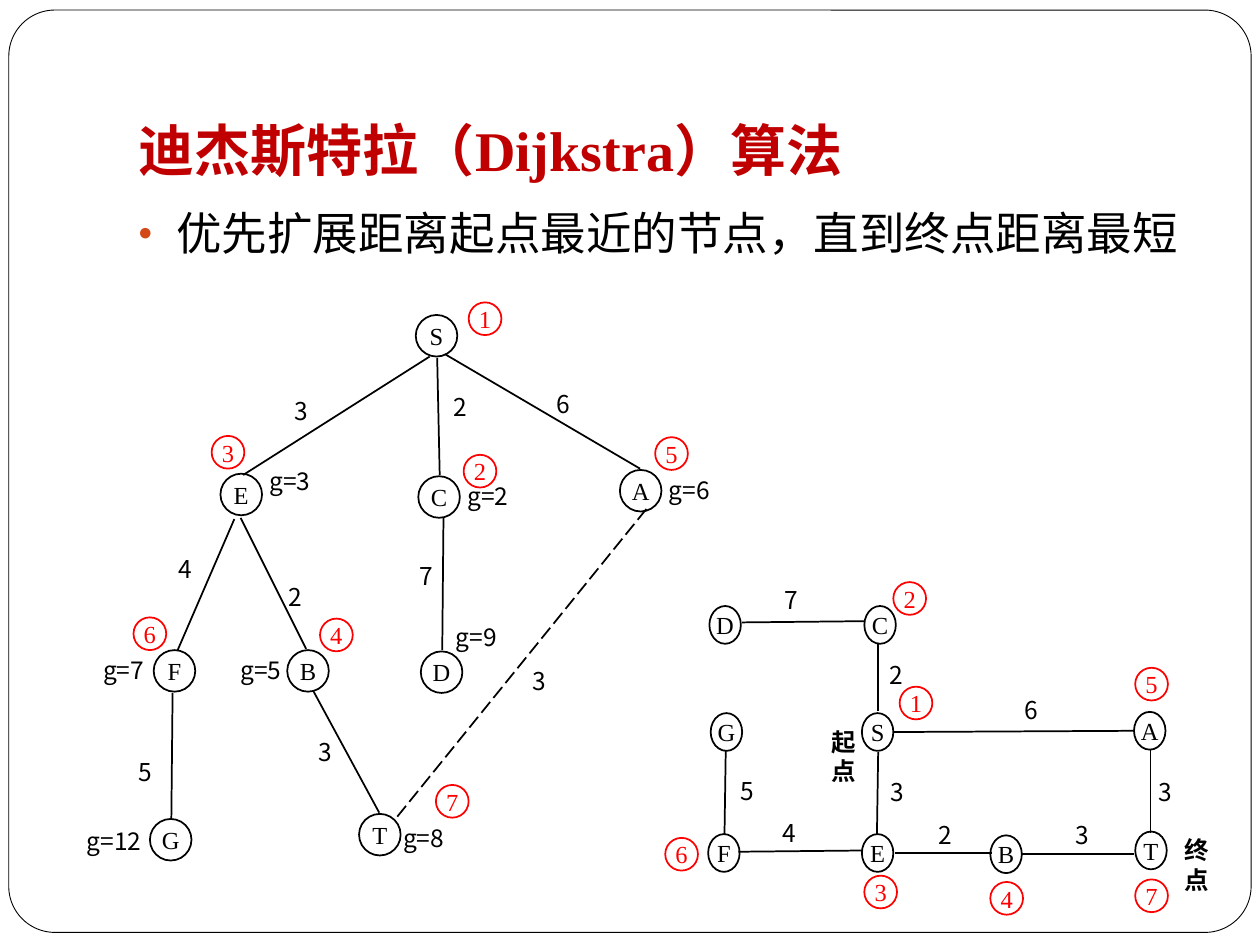
from lxml import etree
from pptx import Presentation
from pptx.dml.color import RGBColor
from pptx.enum.dml import MSO_LINE
from pptx.enum.shapes import MSO_CONNECTOR, MSO_SHAPE
from pptx.enum.text import MSO_ANCHOR, PP_ALIGN
from pptx.oxml.ns import qn
from pptx.util import Inches, Pt

OVAL = MSO_SHAPE.OVAL
RECTANGLE = MSO_SHAPE.RECTANGLE
ROUNDED = MSO_SHAPE.ROUNDED_RECTANGLE
STRAIGHT = MSO_CONNECTOR.STRAIGHT
LONG_DASH = MSO_LINE.LONG_DASH
TOP, MIDDLE, BOTTOM = MSO_ANCHOR.TOP, MSO_ANCHOR.MIDDLE, MSO_ANCHOR.BOTTOM
LEFT, CENTER, JUSTIFY = PP_ALIGN.LEFT, PP_ALIGN.CENTER, PP_ALIGN.JUSTIFY

SERIF = "Times New Roman"
SANS = "Noto Sans CJK SC"
COLORS = {"black": "000000", "white": "FFFFFF", "red": "FF0000",
          "title": "C00000", "bullet": "D34817"}


def add_run(paragraph, text, size, font, color, bold=False):
    run = paragraph.add_run()
    run.text = text
    run.font.size = Pt(size)
    run.font.name = font
    run.font.bold = bold
    run.font.color.rgb = RGBColor.from_string(COLORS[color])
    etree.SubElement(run.font._element, qn("a:ea"), typeface=SANS)


def add_box(kind, left, top, width, height, fill=None, line=None, line_width=1):
    shape = slide.shapes.add_shape(kind, Inches(left), Inches(top), Inches(width), Inches(height))
    shape.shadow.inherit = False
    if fill:
        shape.fill.solid()
        shape.fill.fore_color.rgb = RGBColor.from_string(COLORS[fill])
    else:
        shape.fill.background()
    if line:
        shape.line.color.rgb = RGBColor.from_string(COLORS[line])
        shape.line.width = Pt(line_width)
    else:
        shape.line.fill.background()
    return shape


presentation = Presentation()
presentation.slide_width = Inches(10)
presentation.slide_height = Inches(7.5)
slide = presentation.slides.add_slide(presentation.slide_layouts[1])

frame = add_box(ROUNDED, 0.07, 0.08, 9.86, 7.32, "white", "black", 0.5)
frame.adjustments[0] = 0.05
slide.shapes._spTree.insert(2, frame._element)

title = slide.shapes.title
title.left, title.top, title.width, title.height = Inches(1), Inches(0.3), Inches(8.5), Inches(1.25)
title.text_frame.vertical_anchor = BOTTOM
title.text_frame.margin_bottom = Inches(0.1)
paragraph = title.text_frame.paragraphs[0]
paragraph.alignment = LEFT
add_run(paragraph, "迪杰斯特拉（Dijkstra）算法", 32, SERIF, "title", True)

body = slide.placeholders[1]
body.left, body.top, body.width, body.height = Inches(1), Inches(1.58), Inches(8.5), Inches(5)
paragraph = body.text_frame.paragraphs[0]
paragraph.space_before = Pt(5.8)
properties = paragraph._p.get_or_add_pPr()
properties.set("marL", str(Inches(0.3)))
properties.set("indent", str(Inches(-0.3)))
bullet_color = etree.SubElement(properties, qn("a:buClr"))
etree.SubElement(bullet_color, qn("a:srgbClr"), val=COLORS["bullet"])
etree.SubElement(properties, qn("a:buSzPct"), val="85000")
etree.SubElement(properties, qn("a:buChar"), char="•")
add_run(paragraph, "优先扩展距离起点最近的节点，直到终点距离最短", 26, SERIF, "black")

tree_weights = [
    ("2", 3.5, 3.06), ("3", 2.24, 3.09), ("6", 4.32, 3.04), ("2", 2.19, 4.57),
    ("4", 1.32, 4.35), ("7", 3.23, 4.4), ("3", 4.13, 5.24), ("3", 2.43, 5.8), ("5", 1, 5.96),
]
tree_distances = [
    ("g=9", 3.52, 4.89), ("g=3", 2.04, 3.65), ("g=2", 3.61, 3.77), ("g=6", 5.21, 3.72),
    ("g=7", 0.72, 5.15), ("g=5", 1.81, 5.15), ("g=8", 3.1, 6.48), ("g=12", 0.59, 6.51),
]
map_weights = [
    ("4", 6.11, 6.44), ("6", 8.03, 5.47), ("3", 8.44, 6.46), ("2", 7.35, 6.46), ("2", 6.96, 5.19),
    ("3", 6.97, 6.12), ("7", 6.13, 4.59), ("5", 5.78, 6.11), ("3", 9.1, 6.12),
]
map_ends = [("起点", 6.5, 5.72), ("终点", 9.3, 6.58)]

for labels, width, height, bold in [
    (tree_weights, 0.36, 0.35, False), (tree_distances, 0.68, 0.35, False),
    (map_weights, 0.27, 0.32, False), (map_ends, 0.49, 0.32, True),
]:
    for text, left, top in labels:
        label = add_box(RECTANGLE, left, top, width, height, "white")
        label.text_frame.word_wrap = True
        label.text_frame.vertical_anchor = TOP
        paragraph = label.text_frame.paragraphs[0]
        paragraph.alignment = JUSTIFY
        add_run(paragraph, text, 14, SANS, "black", bold)

tree_edges = [
    (3.41, 2.83, 1.93, 3.77), (3.47, 2.84, 3.49, 3.77), (3.53, 2.81, 5.08, 3.72),
    (3.52, 4.11, 3.51, 5.16), (1.86, 4.12, 1.41, 5.16), (1.91, 4.11, 2.43, 5.15),
    (2.49, 5.49, 3.01, 6.45), (1.37, 5.5, 1.36, 6.5),
]
dropped_edges = [(5.13, 4.04, 3.13, 6.51)]
map_edges = [
    (7.09, 5.81, 9, 5.8), (5.89, 4.94, 6.86, 4.93), (5.86, 6.76, 6.84, 6.75),
    (7.1, 6.77, 7.87, 6.77), (6.97, 5.97, 6.96, 6.62), (5.76, 5.96, 5.75, 6.62),
    (9.13, 5.95, 9.13, 6.61), (6.97, 5.1, 6.97, 5.64), (8.1, 6.78, 9, 6.78),
]

for edges, dash in [(tree_edges, None), (dropped_edges, LONG_DASH), (map_edges, None)]:
    for edge in edges:
        connector = slide.shapes.add_connector(STRAIGHT, *[Inches(value) for value in edge])
        connector.line.color.rgb = RGBColor.from_string(COLORS["black"])
        connector.line.width = Pt(1)
        connector.line.dash_style = dash
        etree.SubElement(connector._element.spPr, qn("a:effectLst"))

tree_nodes = [
    ("S", 3.3, 2.5), ("E", 1.75, 3.76), ("C", 3.32, 3.78), ("A", 4.92, 3.73), ("B", 2.28, 5.16),
    ("F", 1.22, 5.16), ("T", 2.85, 6.46), ("D", 3.34, 5.17), ("G", 1.19, 6.5),
]
map_nodes = [
    ("C", 6.86, 4.81), ("E", 6.84, 6.62), ("B", 7.86, 6.63), ("A", 9, 5.65), ("T", 9.01, 6.6),
    ("D", 5.63, 4.81), ("F", 5.62, 6.62), ("G", 5.64, 5.66), ("S", 6.84, 5.66),
]
visit_orders = [
    ("1", 3.72, 2.4), ("2", 3.68, 3.61), ("3", 1.68, 3.46), ("4", 2.54, 4.91), ("5", 5.2, 3.47),
    ("6", 1.06, 4.9), ("7", 3.46, 6.23),
    ("1", 7.14, 5.45), ("2", 7.09, 4.62), ("3", 6.86, 6.95), ("4", 7.86, 7), ("5", 9.01, 5.3),
    ("6", 5.28, 6.65), ("7", 9.01, 6.98),
]

for circles, width, height, color in [
    (tree_nodes, 0.33, 0.33, "black"), (map_nodes, 0.25, 0.3, "black"),
    (visit_orders, 0.26, 0.26, "red"),
]:
    for text, left, top in circles:
        circle = add_box(OVAL, left, top, width, height, None, color)
        text_frame = circle.text_frame
        text_frame.margin_left = text_frame.margin_right = 0
        text_frame.margin_top = text_frame.margin_bottom = 0
        text_frame.vertical_anchor = MIDDLE
        paragraph = text_frame.paragraphs[0]
        paragraph.alignment = CENTER
        add_run(paragraph, text, 14, SERIF, color)

presentation.save("out.pptx")
